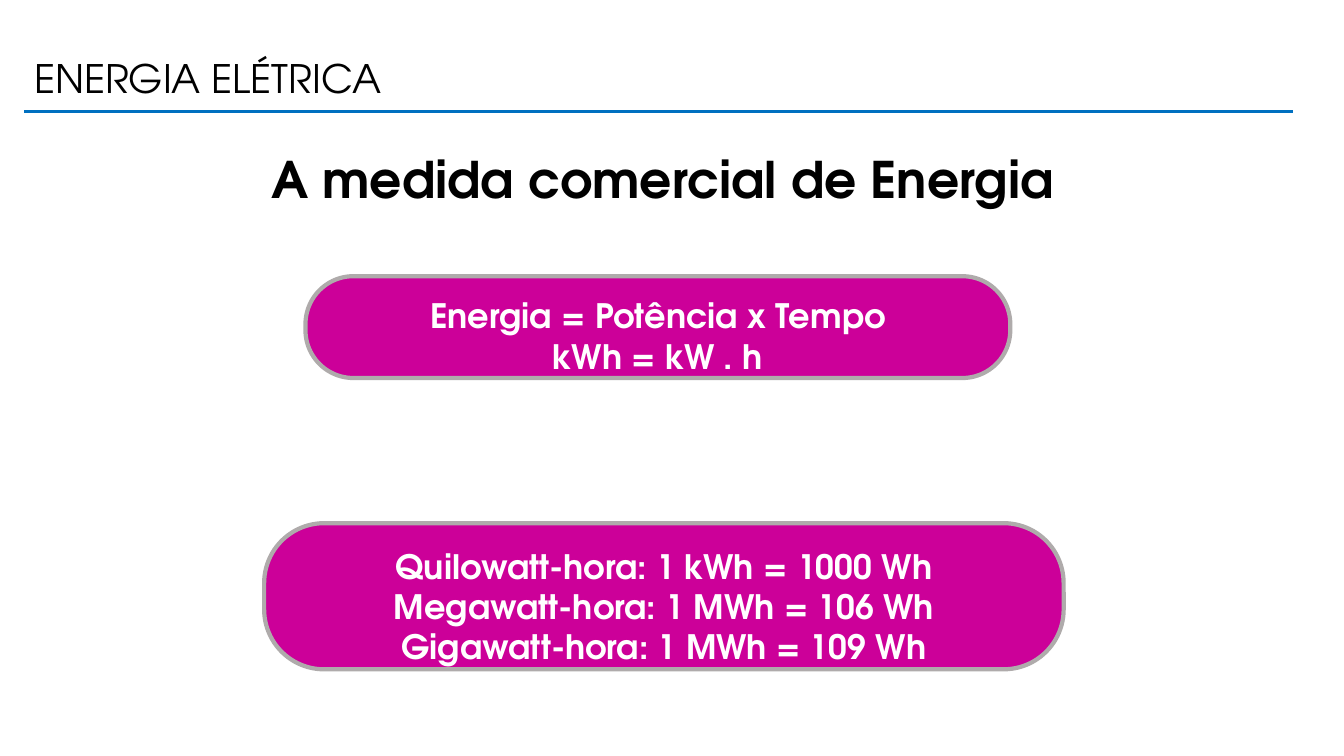
from pptx import Presentation
from pptx.dml.color import RGBColor
from pptx.enum.shapes import MSO_CONNECTOR as Conn, MSO_SHAPE as Kind
from pptx.enum.text import MSO_ANCHOR as Anchor, PP_ALIGN as Align
from pptx.oxml.ns import qn
from pptx.util import Inches, Pt
from lxml.etree import SubElement

BLACK = RGBColor(0x00, 0x00, 0x00)
WHITE = RGBColor(0xFF, 0xFF, 0xFF)
PINK = RGBColor(0xCC, 0x00, 0x99)
GREY = RGBColor(0xAF, 0xAB, 0xAB)
BLUE = RGBColor(0x00, 0x70, 0xC0)


class Page:
    """Holds the text style and the current slide."""

    font = "TeX Gyre Adventor"

    def __init__(self, slide):
        self.slide = slide

    def add_text(self, frame, lines, size, color, bold, **form):
        frame.word_wrap = True
        style = {"name": self.font, "size": Pt(size), "bold": bold}
        for i, line in enumerate(lines):
            para = frame.paragraphs[0] if i == 0 else frame.add_paragraph()
            run = para.add_run()
            run.text = line
            for key, value in form.items():
                setattr(para, key, value)
            for key, value in style.items():
                setattr(run.font, key, value)
            run.font.color.rgb = color

    def label(self, area, text, size, bold=False, anchor=Anchor.TOP, **form):
        box = self.slide.shapes.add_textbox(*map(Inches, area))
        box.text_frame.vertical_anchor = anchor
        self.add_text(box.text_frame, [text], size, BLACK, bold, **form)

    def panel(self, area, curve, lines):
        shape = self.slide.shapes.add_shape(
            Kind.ROUNDED_RECTANGLE, *map(Inches, area))
        shape.adjustments[0] = curve
        shape.shadow.inherit = False
        shape.fill.solid()
        shape.fill.fore_color.rgb = PINK
        shape.line.color.rgb = GREY
        shape.line.width = Pt(3)
        shape.text_frame.vertical_anchor = Anchor.TOP
        self.add_text(shape.text_frame, lines, 24, WHITE, True,
                      alignment=Align.CENTER)

    def rule(self, left, right, top):
        line = self.slide.shapes.add_connector(
            Conn.STRAIGHT, *map(Inches, (left, top, right, top)))
        line.line.color.rgb = BLUE
        line.line.width = Pt(2.25)
        SubElement(line._element.spPr, qn("a:effectLst"))


def main():
    deck = Presentation()
    deck.slide_width = Inches(13.33)
    deck.slide_height = Inches(7.5)
    page = Page(deck.slides.add_slide(deck.slide_layouts[6]))

    # Units of energy
    page.panel((2.62, 5.19, 7.93, 1.45), 0.41, [
        "Quilowatt-hora: 1 kWh = 1000 Wh",
        "Megawatt-hora: 1 MWh = 106 Wh",
        "Gigawatt-hora: 1 MWh = 109 Wh",
    ])

    # Heading and formula
    page.label((2.59, 1.42, 7.96, 0.71), "A medida comercial de Energia",
               36, bold=True)
    page.panel((3.03, 2.74, 6.99, 1.01), 0.47, [
        "Energia = Potência x Tempo",
        "kWh = kW . h",
    ])

    # Slide title and its rule
    page.label((0.24, 0.36, 7.46, 0.88), "ENERGIA ELÉTRICA", 28,
               anchor=Anchor.MIDDLE, line_spacing=0.9)
    page.rule(0.24, 12.82, 1.11)

    deck.save("out.pptx")


if __name__ == "__main__":
    main()
